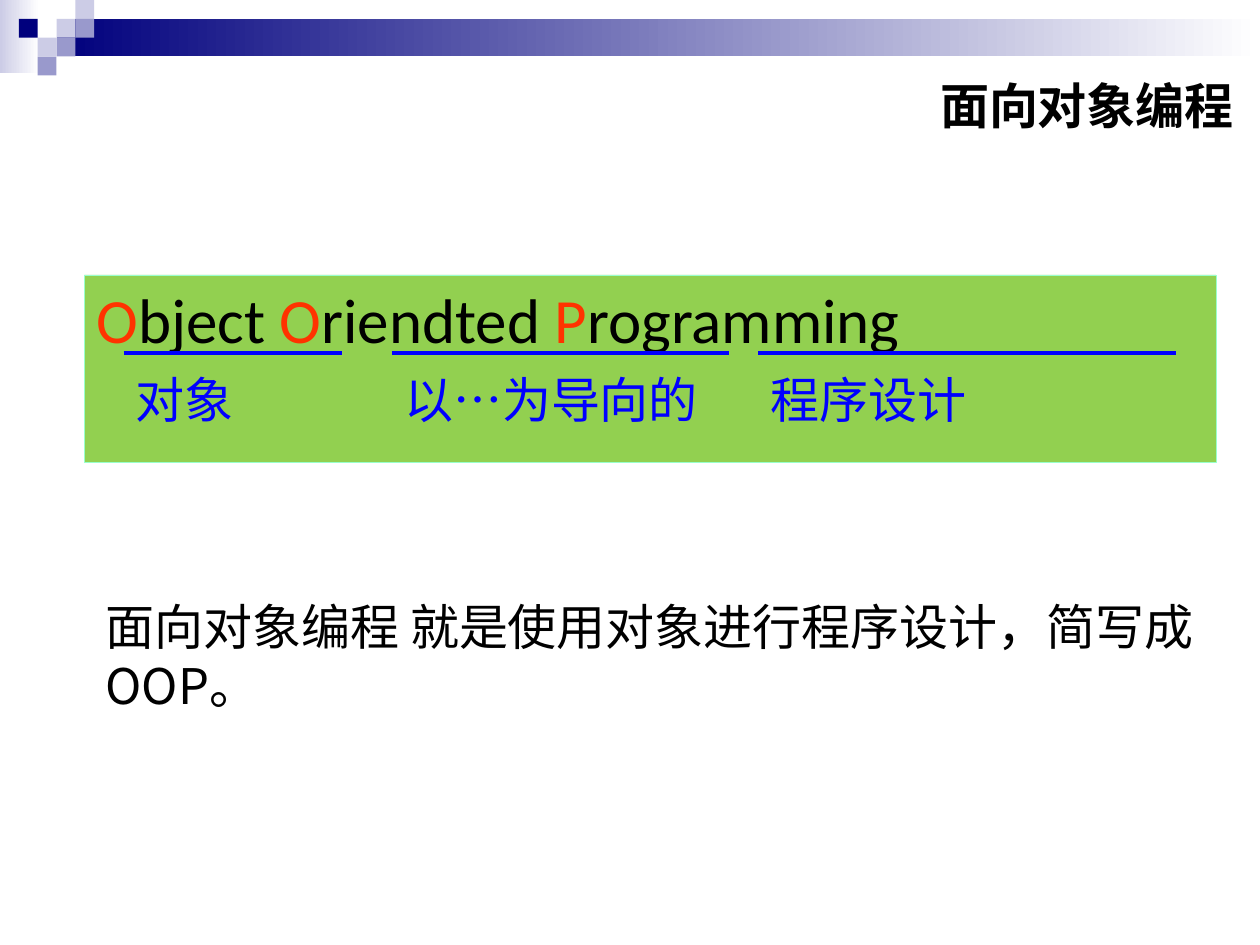
from lxml.etree import SubElement
from pptx import Presentation
from pptx.dml.color import RGBColor
from pptx.enum.lang import MSO_LANGUAGE_ID
from pptx.enum.shapes import MSO_CONNECTOR, MSO_SHAPE
from pptx.enum.text import MSO_ANCHOR, PP_ALIGN
from pptx.oxml.ns import qn
from pptx.util import Cm, Pt

COLORS = {
    "navy": "00007D", "lilac": "CCCCE6", "violet": "9999CC", "white": "FFFFFF",
    "black": "000000", "green": "92D050", "mint": "99FFCC", "red": "FF3300",
    "blue": "0000FF",
}
CJK, LATIN, SERIF = "Noto Sans CJK SC", "Calibri", "Times New Roman"


def rgb(name):
    return RGBColor.from_string(COLORS[name])


def add_rect(s, x, y, w, h, *fills):
    sp = s.shapes.add_shape(MSO_SHAPE.RECTANGLE, Cm(x), Cm(y), Cm(w), Cm(h))
    sp.shadow.inherit = False
    sp.line.fill.background()
    if len(fills) == 1:
        sp.fill.solid()
        sp.fill.fore_color.rgb = rgb(fills[0])
    else:
        sp.fill.gradient()
        sp.fill.gradient_angle = 0
        for stop, name in zip(sp.fill.gradient_stops, fills):
            stop.color.rgb = rgb(name)
    return sp


def add_run(p, text, size, font, color, bold=False):
    r = p.add_run()
    r.text = text
    r.font.size = Pt(size)
    r.font.bold = bold
    r.font.name = font
    r.font.color.rgb = rgb(color)
    r.font.language_id = MSO_LANGUAGE_ID.SIMPLIFIED_CHINESE
    r.font._element.find(qn("a:latin")).addnext(
        SubElement(r.font._element, qn("a:ea"), typeface=CJK))


def add_text(s, x, y, w, h):
    tf = s.shapes.add_textbox(Cm(x), Cm(y), Cm(w), Cm(h)).text_frame
    tf.word_wrap = True
    return tf


def add_header(s, x, y, w):
    unit = 0.38
    add_rect(s, x, y, 0.79, 1.47, "lilac", "white")
    add_rect(s, x + 3 * unit, y + unit, w - 3 * unit, 2 * unit, "navy", "white")
    squares = [(3, 1, "lilac"), (4, 0, "lilac"), (4, 1, "violet"),
               (2, 2, "lilac"), (1, 1, "navy"), (3, 2, "violet"), (2, 3, "violet")]
    for col, row, color in squares:
        add_rect(s, x + col * unit, y + row * unit, unit, unit, color)


def add_title(s, x, y, w, h):
    tf = add_text(s, x, y, w, h)
    tf.vertical_anchor = MSO_ANCHOR.MIDDLE
    p = tf.paragraphs[0]
    p.alignment = PP_ALIGN.RIGHT
    add_run(p, "面向对象编程", 28, CJK, "black", True)


def add_term(s, x, y, w, text):
    line = s.shapes.add_connector(MSO_CONNECTOR.STRAIGHT, Cm(x), Cm(y), Cm(x + w), Cm(y))
    line.line.color.rgb = rgb("blue")
    line.line.width = Pt(2.25)
    SubElement(line._element.spPr, qn("a:effectLst"))
    tf = add_text(s, x, y + 0.2, w, 1.45)
    add_run(tf.paragraphs[0], text, 28, SERIF, "blue")


def add_panel(s, x, y, w, h):
    sp = add_rect(s, x, y, w, h, "green")
    sp.line.color.rgb = rgb("mint")
    sp.line.width = Pt(0.25)
    tf = sp.text_frame
    tf.word_wrap = True
    tf.vertical_anchor = MSO_ANCHOR.TOP
    p = tf.paragraphs[0]
    p.alignment = PP_ALIGN.LEFT
    for word in ("Object ", "Oriendted ", "Programming"):
        add_run(p, word[0], 36, LATIN, "red")
        add_run(p, word[1:], 36, LATIN, "black")
    terms = [(0.79, 4.4, "对象"), (6.2, 6.8, "以…为导向的"), (13.59, 8.41, "程序设计")]
    for dx, width, text in terms:
        add_term(s, x + dx, y + 1.58, width, text)


def add_summary(s, x, y, w, h):
    p = add_text(s, x, y, w, h).paragraphs[0]
    add_run(p, "面向对象编程 就是使用对象进行程序设计，简写成OOP", 28, CJK, "black")
    add_run(p, "。", 28, SERIF, "black")


def main():
    prs = Presentation()
    prs.slide_width, prs.slide_height = Cm(25.4), Cm(19.05)
    s = prs.slides.add_slide(prs.slide_layouts[6])
    add_header(s, 0, 0, 25.4)
    add_title(s, 12.09, 1.27, 13.03, 1.7)
    add_panel(s, 1.7, 5.54, 22.81, 3.78)
    add_summary(s, 1.88, 11.91, 22.43, 2.64)
    prs.save("out.pptx")


if __name__ == "__main__":
    main()
